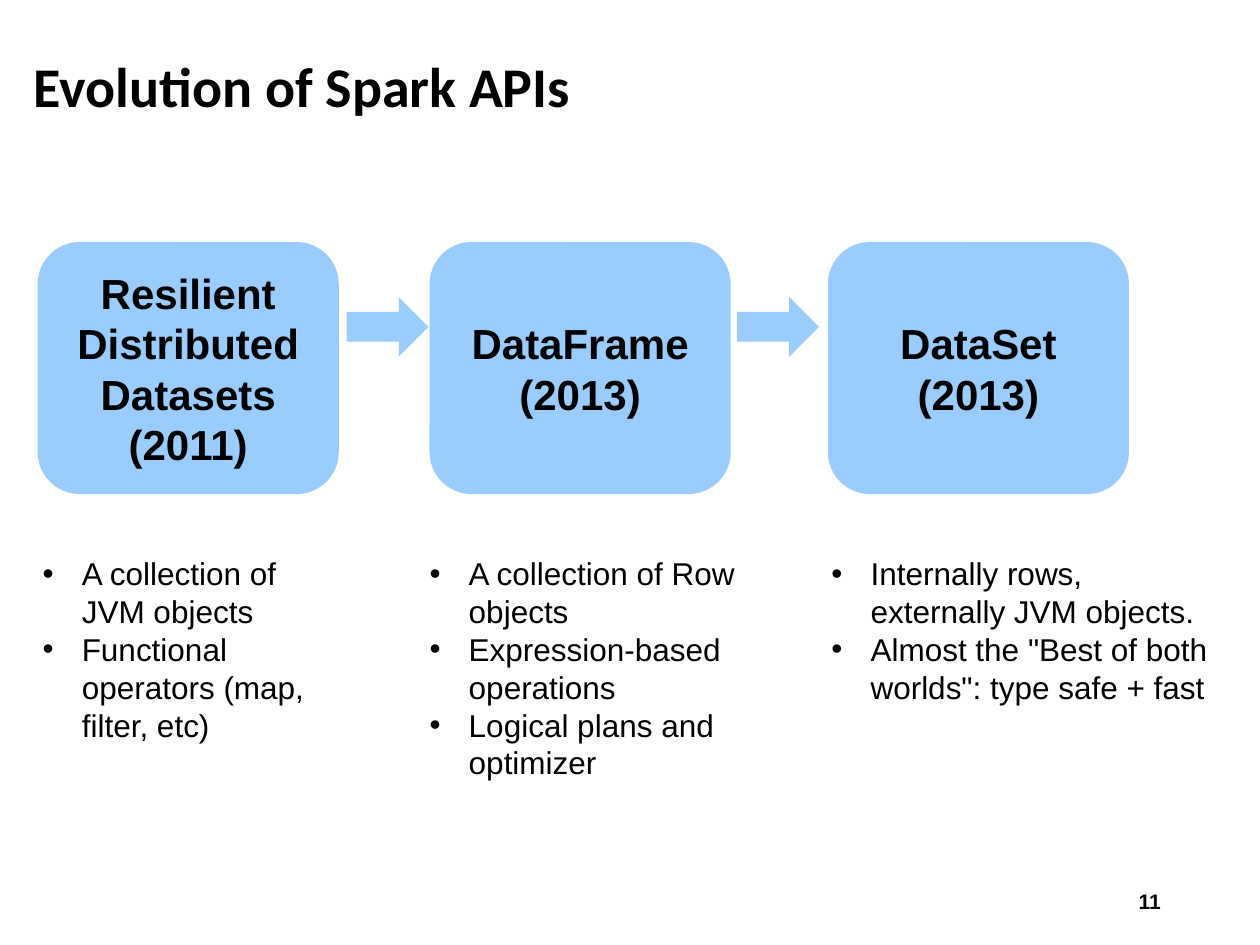
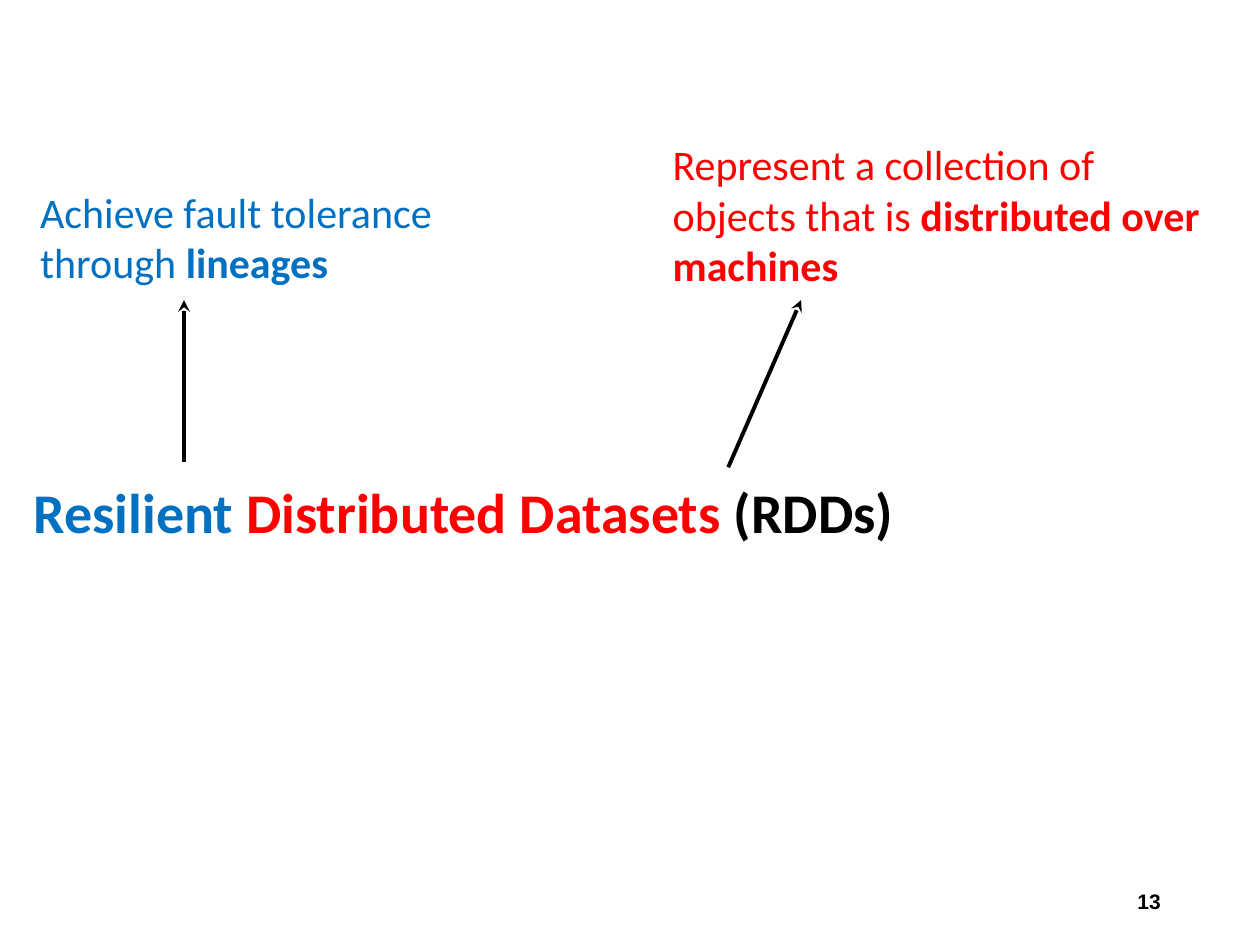
from lxml.etree import SubElement
from pptx import Presentation
from pptx.dml.color import RGBColor
from pptx.enum.shapes import MSO_CONNECTOR, MSO_SHAPE
from pptx.enum.text import MSO_ANCHOR, PP_ALIGN
from pptx.oxml.ns import qn
from pptx.util import Cm, Pt

COLORS = {
    "black": "000000",
    "box": "99CCFF",
    "blue": "0070C0",
    "red": "FF0000",
}


def write_text(paragraph, text, size=18, font="Arial", color="black", bold=False):
    """Append a formatted run to the paragraph."""
    run = paragraph.add_run()
    run.text = text
    run.font.size = Pt(size)
    run.font.name = font
    run.font.bold = bold
    run.font.color.rgb = RGBColor.from_string(COLORS[color])


class Deck:
    """Hold the shared style and the slide being built."""

    title_style = dict(size=32, font="Calibri", bold=True)
    note_style = dict(size=24, font="Calibri")
    box_style = dict(size=24, bold=True)
    number_style = dict(size=12, bold=True)

    def __init__(self):
        """Open an empty 4:3 presentation."""
        self.presentation = Presentation()
        self.presentation.slide_width = Cm(25.4)
        self.presentation.slide_height = Cm(19.05)
        self.slide = None

    def new_slide(self, number):
        """Start a blank slide with its page number."""
        layout = self.presentation.slide_layouts[6]
        self.slide = self.presentation.slides.add_slide(layout)
        frame = self.text_frame(17.93, 17.65, 5.72, 1.02, MSO_ANCHOR.MIDDLE)
        paragraph = frame.paragraphs[0]
        paragraph.alignment = PP_ALIGN.RIGHT
        write_text(paragraph, str(number), **self.number_style)

    def text_frame(self, left, top, width, height, anchor=MSO_ANCHOR.TOP):
        """Add a wrapping text box and return its frame."""
        shape = self.slide.shapes.add_textbox(Cm(left), Cm(top), Cm(width), Cm(height))
        frame = shape.text_frame
        frame.word_wrap = True
        frame.vertical_anchor = anchor
        return frame

    def title(self, top, *runs):
        """Add a title made of (text, color) runs."""
        frame = self.text_frame(0.43, top, 24.13, 2.84, MSO_ANCHOR.MIDDLE)
        for text, color in runs:
            write_text(frame.paragraphs[0], text, color=color, **self.title_style)

    def note(self, left, top, height, color, text, emphasis):
        """Add a colored note that ends in bold."""
        paragraph = self.text_frame(left, top, 11.23, height).paragraphs[0]
        write_text(paragraph, text, color=color, **self.note_style)
        write_text(paragraph, emphasis, color=color, bold=True, **self.note_style)

    def bullets(self, left, width, height, items):
        """Add a bulleted list below the boxes."""
        frame = self.text_frame(left, 11.05, width, height)
        for index, item in enumerate(items):
            paragraph = frame.add_paragraph() if index else frame.paragraphs[0]
            properties = paragraph._p.get_or_add_pPr()
            properties.set("marL", str(Cm(0.79)))
            properties.set("indent", str(-Cm(0.79)))
            SubElement(properties, qn("a:buFont"), typeface="Arial")
            SubElement(properties, qn("a:buChar"), char="•")
            write_text(paragraph, item)

    def shape(self, kind, left, top, width, height, lines=()):
        """Add a flat shape with optional centered lines."""
        shape = self.slide.shapes.add_shape(kind, Cm(left), Cm(top), Cm(width), Cm(height))
        shape.shadow.inherit = False
        shape.fill.solid()
        shape.fill.fore_color.rgb = RGBColor.from_string(COLORS["box"])
        shape.line.fill.background()
        frame = shape.text_frame
        frame.word_wrap = True
        frame.vertical_anchor = MSO_ANCHOR.MIDDLE
        for index, line in enumerate(lines):
            paragraph = frame.add_paragraph() if index else frame.paragraphs[0]
            paragraph.alignment = PP_ALIGN.CENTER
            write_text(paragraph, line, **self.box_style)

    def arrow(self, start_x, start_y, end_x, end_y):
        """Add a line with a stealth arrowhead at its end."""
        connector = self.slide.shapes.add_connector(
            MSO_CONNECTOR.STRAIGHT, Cm(start_x), Cm(start_y), Cm(end_x), Cm(end_y))
        connector.line.color.rgb = RGBColor.from_string(COLORS["black"])
        connector.line.width = Pt(2.25)
        SubElement(connector.line._get_or_add_ln(), qn("a:tailEnd"), type="stealth")
        SubElement(connector._element.spPr, qn("a:effectLst"))


def build_evolution(deck):
    """Show the three APIs in order of appearance."""
    deck.new_slide(11)
    deck.title(0.3, ("Evolution of Spark APIs", "black"))
    boxes = [
        (0.76, "Resilient Distributed Datasets", "(2011)"),
        (8.66, "DataFrame", "(2013)"),
        (16.69, "DataSet", "(2013)"),
    ]
    for left, name, year in boxes:
        deck.shape(MSO_SHAPE.ROUNDED_RECTANGLE, left, 4.88, 6.07, 5.08, (name, year))
    for left in (6.99, 14.86):
        deck.shape(MSO_SHAPE.RIGHT_ARROW, left, 5.99, 1.65, 1.2)
    deck.bullets(0.61, 6.4, 4.11, [
        "A collection of JVM objects",
        "Functional operators (map, filter, etc)",
    ])
    deck.bullets(8.41, 7.77, 4.88, [
        "A collection of Row objects",
        "Expression-based operations",
        "Logical plans and optimizer",
    ])
    deck.bullets(16.51, 8.36, 3.33, [
        "Internally rows, externally JVM objects.",
        'Almost the "Best of both worlds": type safe + fast',
    ])


def build_definition(deck):
    """Explain the words in the name of RDDs."""
    deck.new_slide(13)
    deck.note(13.31, 2.67, 4.24, "red",
              "Represent a collection of objects that is ", "distributed over machines")
    deck.note(0.56, 3.63, 3.05, "blue", "Achieve fault tolerance through ", "lineages")
    deck.title(8.89, ("Resilient ", "blue"), ("Distributed Datasets", "red"),
               (" (RDDs)", "black"))
    deck.arrow(14.68, 9.42, 16.15, 6.05)
    deck.arrow(3.71, 9.32, 3.71, 6.05)


def main():
    """Build both slides and save them."""
    deck = Deck()
    build_evolution(deck)
    build_definition(deck)
    deck.presentation.save("out.pptx")


if __name__ == "__main__":
    main()
